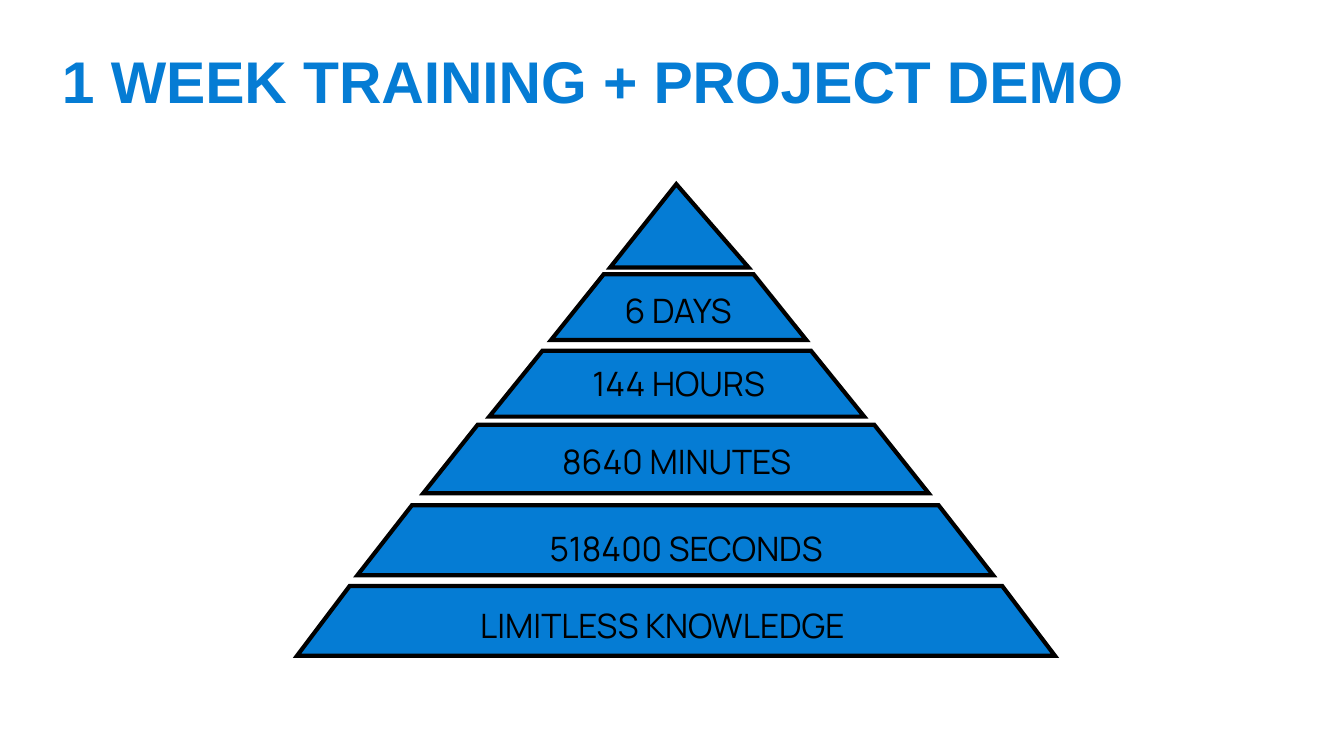
from dataclasses import dataclass

from lxml import etree
from pptx import Presentation
from pptx import util as u
from pptx.dml.color import RGBColor
from pptx.enum import shapes, text
from pptx.oxml.ns import qn


@dataclass(frozen=True)
class Theme:
    blue: RGBColor = RGBColor(0x05, 0x7C, 0xD4)
    black: RGBColor = RGBColor(0, 0, 0)
    title_font: str = "Arial"
    label_font: str = "Manrope"
    title_size: float = 31.5
    label_size: float = 18
    outline: float = 2.25


THEME = Theme()
WIDTH = u.Inches(10)
HEIGHT = WIDTH * 9 // 16
CELL = WIDTH / 100  # the slide is a grid of square cells, 100 across

# Left, top, width, height in cells, then the slant adjustment
PEAK = (45.4, 13.7, 10.3, 6.2), 0.478
LEVELS = [
    ((41, 20.4, 19, 4.9), 0.801),
    ((36.4, 26.1, 27.9, 4.9), 0.808),
    ((31.5, 31.6, 37.6, 5.1), 0.794),
    ((26.6, 37.6, 47.3, 5.2), 0.779),
    ((22.1, 43.6, 56.4, 5.2), 0.755),
]
FITTED_LABELS = [
    ("6 DAYS", (42.7, 21.1, 15.5, 4), False),
    ("144 HOURS", (41, 26.5, 19, 4), True),
    ("8640 MINUTES", (36.4, 32.3, 27.9, 4), True),
]
CENTRED_LABELS = [
    ("518400 SECONDS", (37.7, 36.3, 26.7, 8.6)),
    ("LIMITLESS KNOWLEDGE", (26.6, 42.1, 45.4, 8.6)),
]


def cells(area):
    return [round(length * CELL) for length in area]


def set_insets(frame, across, down):
    frame.margin_left = frame.margin_right = u.Inches(across)
    frame.margin_top = frame.margin_bottom = u.Inches(down)


def write(frame, words, font_name, size, color, bold=False):
    """Fill the frame with one centred paragraph."""
    frame.word_wrap = True
    paragraph = frame.paragraphs[0]
    paragraph.text = words
    paragraph.alignment = text.PP_ALIGN.CENTER
    font = paragraph.font
    font.name, font.size, font.bold = font_name, u.Pt(size), bold
    font.color.rgb = color
    return paragraph


def add_title(slide, words):
    title = slide.shapes.title
    title.left, title.top, title.width, title.height = cells((2.3, 2.3, 83.6, 11.7))
    frame = title.text_frame
    frame.auto_size = text.MSO_AUTO_SIZE.NONE
    frame.vertical_anchor = text.MSO_ANCHOR.TOP
    set_insets(frame, 0.1, 0.1)
    write(frame, words, THEME.title_font, THEME.title_size, THEME.blue, bold=True)


def add_blue_shape(slide, preset, area):
    shape = slide.shapes.add_shape(preset, *cells(area))
    shape.shadow.inherit = False
    shape.fill.solid()
    shape.fill.fore_color.rgb = THEME.blue
    shape.line.fill.background()
    return shape


def add_level(slide, preset, area, slant):
    """Outlined part of the pyramid with sharp corners."""
    level = add_blue_shape(slide, preset, area)
    level.adjustments[0] = slant
    level.line.color.rgb = THEME.black
    level.line.width = u.Pt(THEME.outline)
    outline = level.element.spPr.find(qn("a:ln"))
    etree.SubElement(outline, qn("a:miter"), lim="800000")


def write_label(frame, words):
    return write(frame, words, THEME.label_font, THEME.label_size, THEME.black)


def add_fitted_label(slide, words, area, filled):
    """Top-anchored label whose box grows with its text."""
    if filled:
        label = add_blue_shape(slide, shapes.MSO_SHAPE.RECTANGLE, area)
    else:
        label = slide.shapes.add_textbox(*cells(area))
    frame = label.text_frame
    frame.vertical_anchor = text.MSO_ANCHOR.TOP
    frame.auto_size = text.MSO_AUTO_SIZE.SHAPE_TO_FIT_TEXT
    set_insets(frame, 0.1, 0.05)
    write_label(frame, words)


def add_centred_label(slide, words, area):
    frame = slide.shapes.add_textbox(*cells(area)).text_frame
    frame.vertical_anchor = text.MSO_ANCHOR.MIDDLE
    set_insets(frame, 0, 0)
    write_label(frame, words).line_spacing = 1.1


def main():
    deck = Presentation()
    deck.slide_width, deck.slide_height = WIDTH, HEIGHT
    slide = deck.slides.add_slide(deck.slide_layouts.get_by_name("Title Only"))
    add_title(slide, "1 WEEK TRAINING + PROJECT DEMO")
    add_level(slide, shapes.MSO_SHAPE.ISOSCELES_TRIANGLE, *PEAK)
    for area, slant in LEVELS:
        add_level(slide, shapes.MSO_SHAPE.TRAPEZOID, area, slant)
    for label in FITTED_LABELS:
        add_fitted_label(slide, *label)
    for label in CENTRED_LABELS:
        add_centred_label(slide, *label)
    deck.save("out.pptx")


if __name__ == "__main__":
    main()
